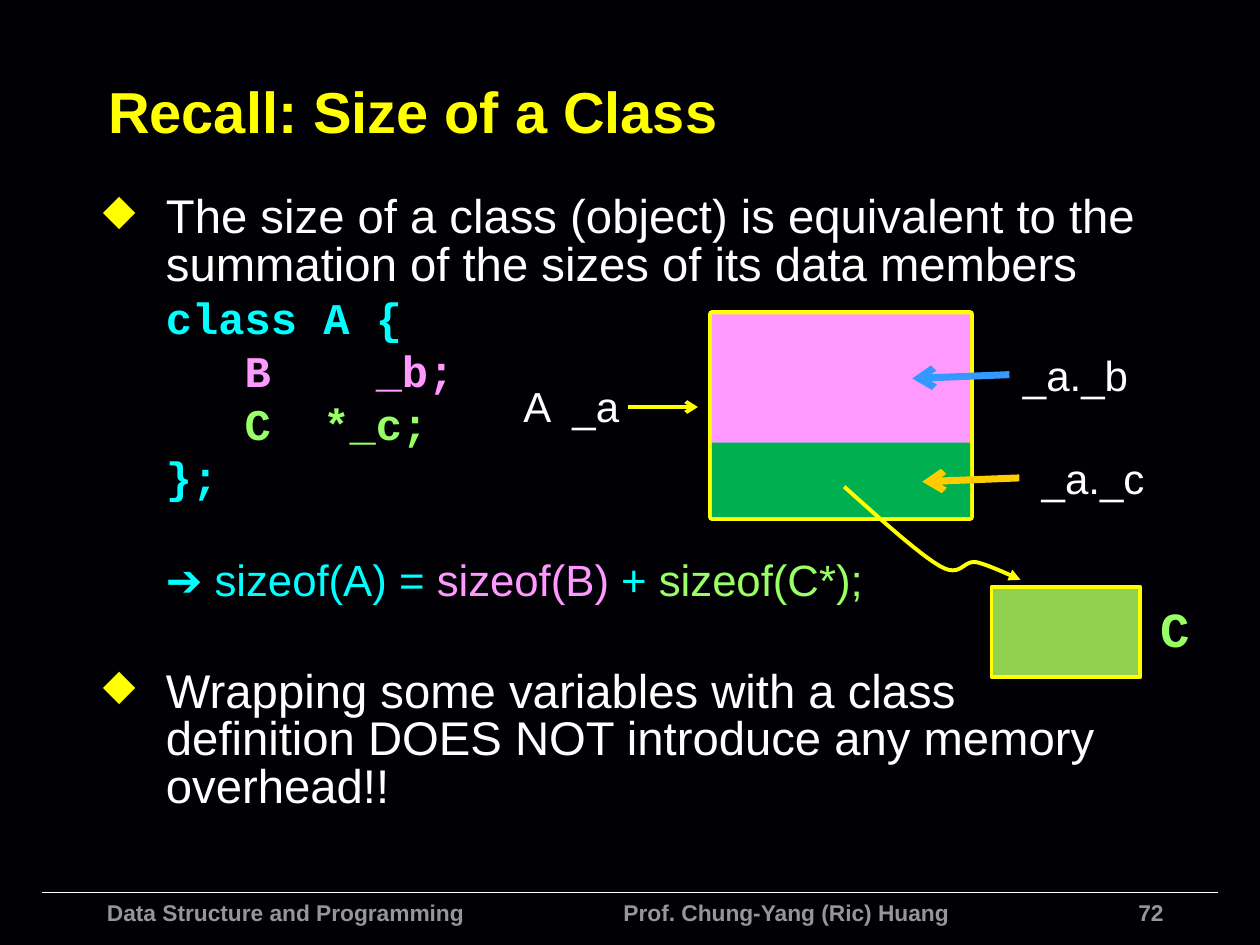
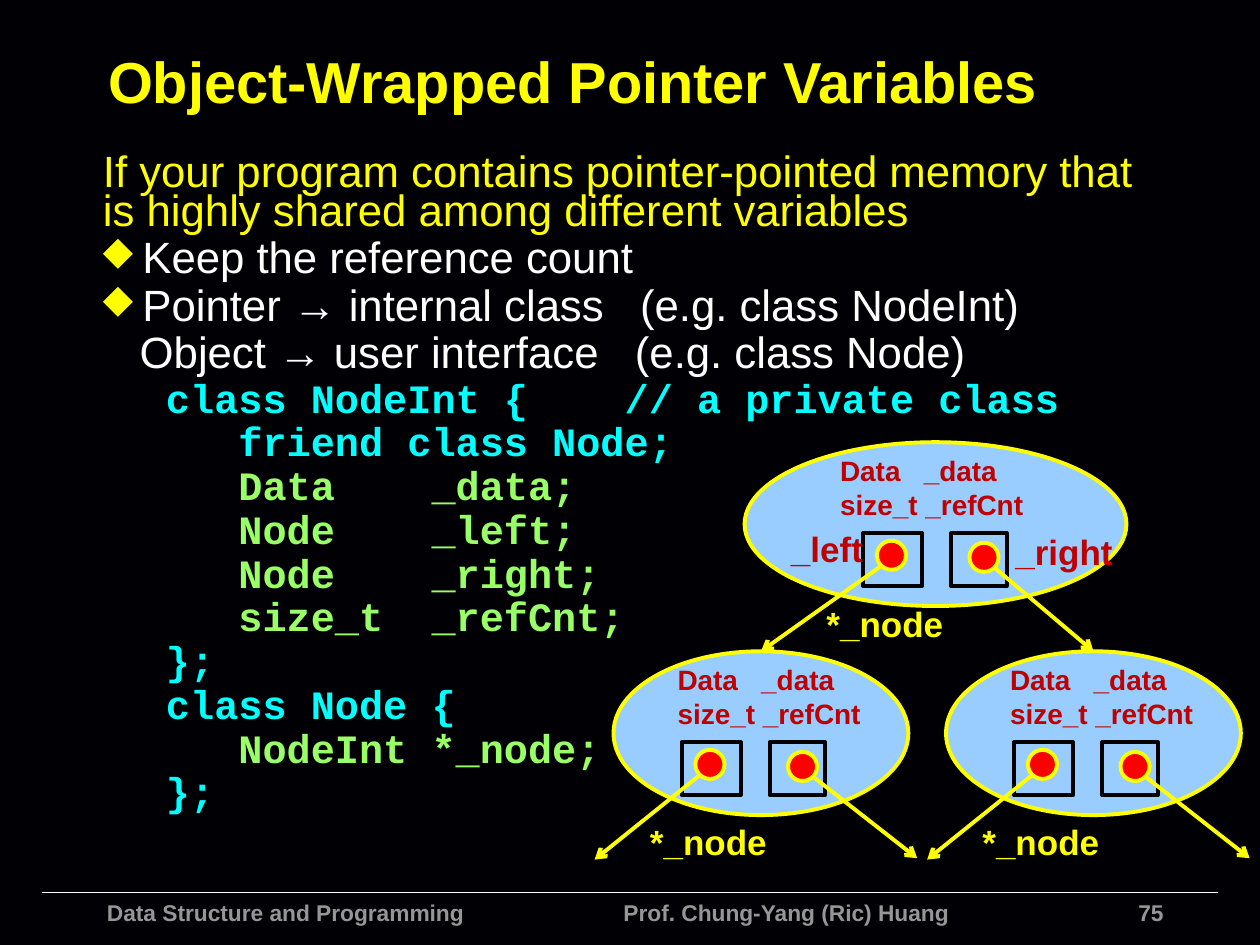
from dataclasses import dataclass

from lxml import etree
from pptx import Presentation
from pptx.dml.color import RGBColor
from pptx.enum.shapes import MSO_CONNECTOR, MSO_SHAPE
from pptx.enum.text import MSO_ANCHOR, PP_ALIGN
from pptx.oxml.ns import qn
from pptx.util import Pt

STRAIGHT = MSO_CONNECTOR.STRAIGHT
RECTANGLE, OVAL = MSO_SHAPE.RECTANGLE, MSO_SHAPE.OVAL
LEFT, CENTER, RIGHT = PP_ALIGN.LEFT, PP_ALIGN.CENTER, PP_ALIGN.RIGHT
TOP, MIDDLE = MSO_ANCHOR.TOP, MSO_ANCHOR.MIDDLE
ELLIPSE_TOP = 0


@dataclass(frozen=True)
class Theme:
    background: str = "010004"
    text: str = "FFFFFF"
    accent: str = "FFFF00"
    footer: str = "969696"
    keyword: str = "00FFFF"
    member_b: str = "FF99FF"
    member_c: str = "99FF66"
    memory: str = "99CCFF"
    pointer_memory: str = "00B050"
    target: str = "92D050"
    blue_arrow: str = "3399FF"
    orange_arrow: str = "FFCC00"
    field: str = "C00000"
    dot: str = "FF0000"
    cell_line: str = "000000"
    sans: str = "Arial"
    mono: str = "Courier New"
    title_size: float = 33
    footer_size: float = 13
    label_size: float = 24
    target_size: float = 28
    node_size: float = 20
    field_size: float = 16
    line_width: float = 2.25


THEME = Theme()


@dataclass(frozen=True)
class Line:
    """A body paragraph: runs of (text, colour) in one font and size."""
    runs: tuple
    size: float
    font: str = THEME.sans
    margin: float = 0
    hanging: float = 0
    gap: float = 0


def code(size, *runs):
    return Line(runs, size, THEME.mono, margin=36)


def bullet(text, size, hanging, gap=0):
    return Line(((text, THEME.text),), size, margin=hanging, hanging=hanging, gap=gap)


def style_run(run, size, color, font, bold):
    run.font.size = Pt(size)
    run.font.name = font
    run.font.bold = bold
    run.font.color.rgb = RGBColor.from_string(color)


def add_text(slide, box, text, size, color, bold=False, align=LEFT,
             font=THEME.sans, wrap=False, anchor=TOP):
    shape = slide.shapes.add_textbox(*map(Pt, box))
    frame = shape.text_frame
    frame.word_wrap = wrap
    frame.vertical_anchor = anchor
    frame.text = text
    for paragraph in frame.paragraphs:
        paragraph.alignment = align
        for run in paragraph.runs:
            style_run(run, size, color, font, bold)


def add_box(slide, kind, box, fill, line=None, width=THEME.line_width):
    shape = slide.shapes.add_shape(kind, *map(Pt, box))
    shape.shadow.inherit = False
    shape.fill.solid()
    shape.fill.fore_color.rgb = RGBColor.from_string(fill)
    if line:
        style_line(shape, line, width)
    else:
        shape.line.fill.background()
    return shape


def style_line(shape, color, width, arrow=None):
    shape.line.color.rgb = RGBColor.from_string(color)
    shape.line.width = Pt(width)
    if arrow:
        outline = shape.line._get_or_add_ln()
        etree.SubElement(outline, qn("a:tailEnd"), type=arrow)


def add_line(slide, start, end, color=THEME.accent, width=THEME.line_width, arrow="arrow"):
    connector = slide.shapes.add_connector(STRAIGHT, *map(Pt, (*start, *end)))
    style_line(connector, color, width, arrow)
    etree.SubElement(connector._element.spPr, qn("a:effectLst"))
    return connector


def add_curve(slide, start, segments):
    """Draw an arrow along cubic segments, each given by two controls and an end."""
    steps = 12
    points = []
    current = start
    for segment in segments:
        knots = (current, *segment)
        for step in range(1, steps + 1):
            t = step / steps
            weights = ((1 - t) ** 3, 3 * t * (1 - t) ** 2, 3 * t * t * (1 - t), t ** 3)
            points.append(tuple(
                Pt(sum(w * knot[axis] for w, knot in zip(weights, knots)))
                for axis in (0, 1)))
        current = segment[-1]
    builder = slide.shapes.build_freeform(*map(Pt, start), scale=1.0)
    builder.add_line_segments(points, close=False)
    shape = builder.convert_to_shape()
    shape.shadow.inherit = False
    shape.fill.background()
    style_line(shape, THEME.accent, THEME.line_width, "triangle")


def add_body(slide, box, lines, line_spacing):
    frame = slide.shapes.add_textbox(*map(Pt, box)).text_frame
    frame.word_wrap = True
    for index, line in enumerate(lines):
        paragraph = frame.paragraphs[0] if index == 0 else frame.add_paragraph()
        paragraph.line_spacing = line_spacing
        paragraph.space_before = Pt(0.2 * line.size + line.gap)
        properties = paragraph._p.get_or_add_pPr()
        properties.set("marL", str(Pt(line.margin)))
        properties.set("indent", str(-Pt(line.hanging)))
        if line.hanging:
            color = etree.SubElement(properties, qn("a:buClr"))
            etree.SubElement(color, qn("a:srgbClr"), val=THEME.accent)
            etree.SubElement(properties, qn("a:buSzPct"), val="90000")
            etree.SubElement(properties, qn("a:buChar"), char="◆")
        for text, run_color in line.runs:
            run = paragraph.add_run()
            run.text = text
            style_run(run, line.size, run_color, line.font, line.font == THEME.mono)


def add_footer(slide, number):
    top = 510
    add_line(slide, (24, top), (696, top), THEME.text, 1, arrow=None)
    for left, width, text, align in (
            (54, 270, "Data Structure and Programming", LEFT),
            (349.2, 230, "Prof. Chung-Yang (Ric) Huang", LEFT),
            (600, 72, number, RIGHT)):
        add_text(slide, (left, top, width, 24), text, THEME.footer_size,
                 THEME.footer, bold=True, align=align)


def add_base_slide(presentation, title, title_top, number):
    slide = presentation.slides.add_slide(presentation.slide_layouts[6])
    slide.background.fill.solid()
    slide.background.fill.fore_color.rgb = RGBColor.from_string(THEME.background)
    add_footer(slide, number)
    add_text(slide, (54.7, title_top, 636.5, 72.7), title, THEME.title_size,
             THEME.accent, bold=True, wrap=True, anchor=MIDDLE)
    return slide


def add_memory_diagram(slide, left, top):
    """Show object _a with members _b and _c, and the C object it points to."""
    width, b_height, c_height = 147.6, 73.4, 42.5
    add_box(slide, RECTANGLE, (left, top, width, b_height + c_height),
            THEME.memory, THEME.accent, 4.5)
    add_box(slide, RECTANGLE, (left, top, width, b_height), THEME.member_b)
    add_box(slide, RECTANGLE, (left, top + b_height, width, c_height), THEME.pointer_memory)

    add_text(slide, (left - 115.2, top + 34.3, 69.8, 36), "A  _a",
             THEME.label_size, THEME.text, align=CENTER)
    add_line(slide, (left - 48.2, top + 53), (left - 8, top + 53))
    for text, x, y, color, arrow_x, arrow_y in (
            ("_a._b", 170, 16.5, THEME.blue_arrow, 170, 34.5),
            ("_a._c", 180, 75.5, THEME.orange_arrow, 175.7, 93.5)):
        add_text(slide, (left + x, top + y, 75.6, 36.7), text,
                 THEME.label_size, THEME.text, align=CENTER)
        add_line(slide, (left + arrow_x, top + arrow_y),
                 (left + arrow_x - 55.5, top + arrow_y + 2.2), color, 4)

    def place(x, y):
        return left + x, top + y

    add_curve(slide, place(75.6, 98.5), (
        (place(96.5, 117.2), place(118, 136.7), place(130.3, 143.9)),
        (place(142.5, 151), place(143.3, 140.3), place(151.2, 141.7)),
        (place(158.4, 143.2), place(176.4, 151.8), place(176.4, 151.8))))
    add_box(slide, RECTANGLE, (left + 159.8, top + 156, 85, 51.1), THEME.target, THEME.accent)
    add_text(slide, (left + 249.1, top + 159, 31.7, 41), "C", THEME.target_size,
             THEME.member_c, bold=True, font=THEME.mono)


def add_pointer_node(slide, box, cells_left, fields_left, tips, label):
    """Draw a node and return its ellipse and arrows; tips and label are relative to the cells."""
    left, top, width, height = box
    x, y = left + cells_left, top + 52
    ellipse = add_box(slide, OVAL, box, THEME.memory, THEME.accent)
    add_text(slide, (left + fields_left, top + 2.9, 126.7, 46),
             "Data   _data\nsize_t _refCnt", THEME.field_size, THEME.field, bold=True, wrap=True)
    for offset, cell_width in ((0, 33.8), (50.4, 31.7)):
        add_box(slide, RECTANGLE, (x + offset, y, cell_width, 30.2),
                THEME.memory, THEME.cell_line)
    arrows = []
    for dot, start, tip in zip(((7.9, 4.3), (60.8, 5.5)), ((10.8, 18.4), (74.9, 19.5)), tips):
        add_box(slide, OVAL, (x + dot[0], y + dot[1], 16.6, 16.6), THEME.dot, THEME.accent)
        arrows.append(add_line(slide, (x + start[0], y + start[1]),
                               (x + tip[0], y + tip[1])))
    add_text(slide, (x + label[0], y + label[1], 82, 31.7), "*_node",
             THEME.node_size, THEME.accent, bold=True)
    return ellipse, arrows


def add_node_tree(slide, left, top):
    root_left = left + 74.9
    _, arrows = add_pointer_node(
        slide, (root_left, top, 218.2, 93.6), cells_left=67.7, fields_left=47.5,
        tips=((-58.3, 67.7), (131.8, 67.7)), label=(-28, 36))
    for text, x, y, width in (("_left", 19.4, 45.4, 56.2), ("_right", 147.6, 46.8, 70.6)):
        add_text(slide, (root_left + x, top + y, width, 31.7), text,
                 THEME.node_size, THEME.field, bold=True)
    for child, arrow in enumerate(arrows):
        ellipse, _ = add_pointer_node(
            slide, (left + child * 190, top + 119.5, 168.5, 93.6),
            cells_left=38.9, fields_left=29.5,
            tips=((-49.7, 67), (134.6, 66.2)), label=(-25.2, 41))
        arrow.end_connect(ellipse, ELLIPSE_TOP)


def build_class_size_slide(presentation):
    slide = add_base_slide(presentation, "Recall: Size of a Class", 26.6, "72")
    size, code_size = 27, 25
    add_body(slide, (51.8, 108, 612, 372), (
        bullet("The size of a class (object) is equivalent to the summation "
               "of the sizes of its data members", size, 36),
        code(code_size, ("class A {", THEME.keyword)),
        code(code_size, ("   B    _b;", THEME.member_b)),
        code(code_size, ("   C  *_c;", THEME.member_c)),
        code(code_size, ("};", THEME.keyword)),
        Line((("➔ sizeof(A) = ", THEME.keyword), ("sizeof(B)", THEME.member_b),
              (" + ", THEME.keyword), ("sizeof(C*);", THEME.member_c)),
             code_size, margin=36, gap=29),
        bullet("Wrapping some variables with a class definition DOES NOT "
               "introduce any memory overhead!!", size, 36, gap=31.5),
    ), line_spacing=0.84)
    add_memory_diagram(slide, 406.8, 179.6)


def build_pointer_slide(presentation):
    slide = add_base_slide(presentation, "Object-Wrapped Pointer Variables", 9.4, "75")
    size, code_size = 25, 23
    node_int = ("   friend class Node;", "   Data    _data;", "   Node    _left;",
                "   Node    _right;", "   size_t  _refCnt;", "};",
                "class Node {", "   NodeInt *_node;", "};")
    members = ("_data", "_left", "_right", "_refCnt", "_node")
    add_body(slide, (51.8, 85.7, 612, 420), (
        Line((("If your program contains pointer-pointed memory that is highly "
               "shared among different variables", THEME.accent),), size),
        bullet("Keep the reference count", size, 22.5),
        bullet("Pointer → internal class   (e.g. class NodeInt)", size, 22.5),
        Line((("Object → user interface   (e.g. class Node)", THEME.text),), size, margin=21),
        code(code_size, ("class NodeInt {    // a private class", THEME.keyword)),
        *(code(code_size, (text, THEME.member_c if any(m in text for m in members)
                           else THEME.keyword)) for text in node_int),
    ), line_spacing=0.74)
    add_node_tree(slide, 350.6, 252.7)


def main():
    presentation = Presentation()
    presentation.slide_width, presentation.slide_height = Pt(720), Pt(540)
    build_class_size_slide(presentation)
    build_pointer_slide(presentation)
    presentation.save("out.pptx")


if __name__ == "__main__":
    main()
